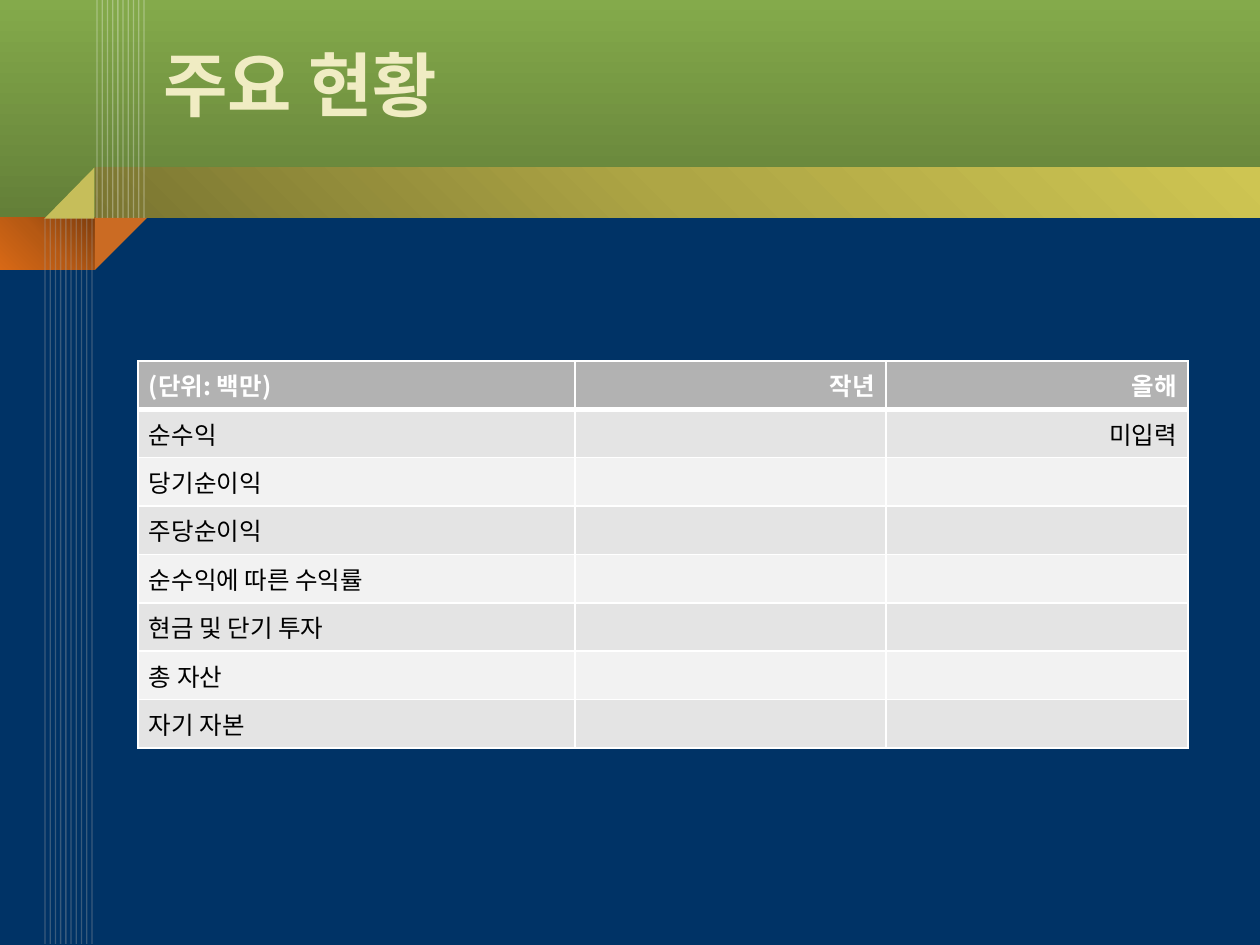
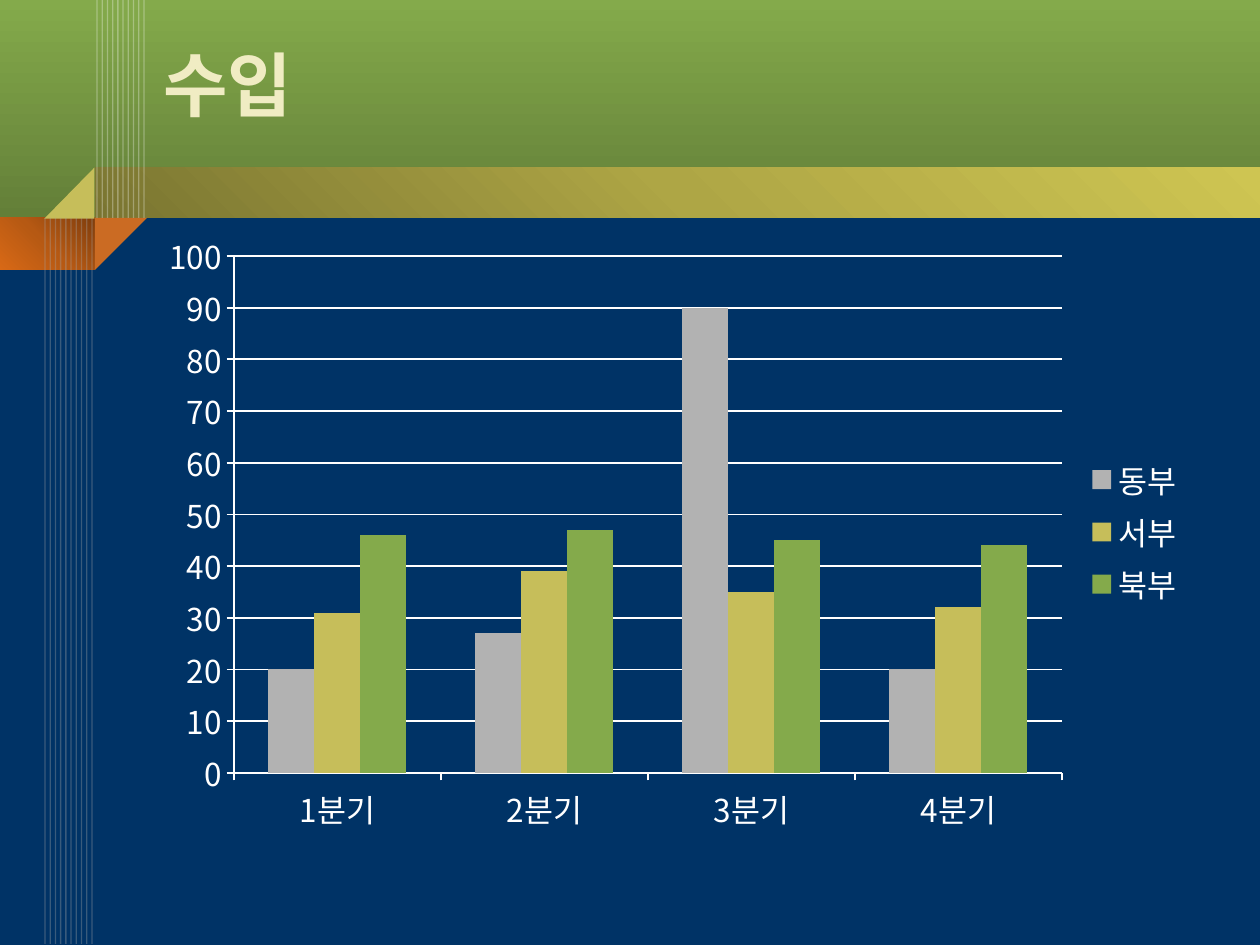
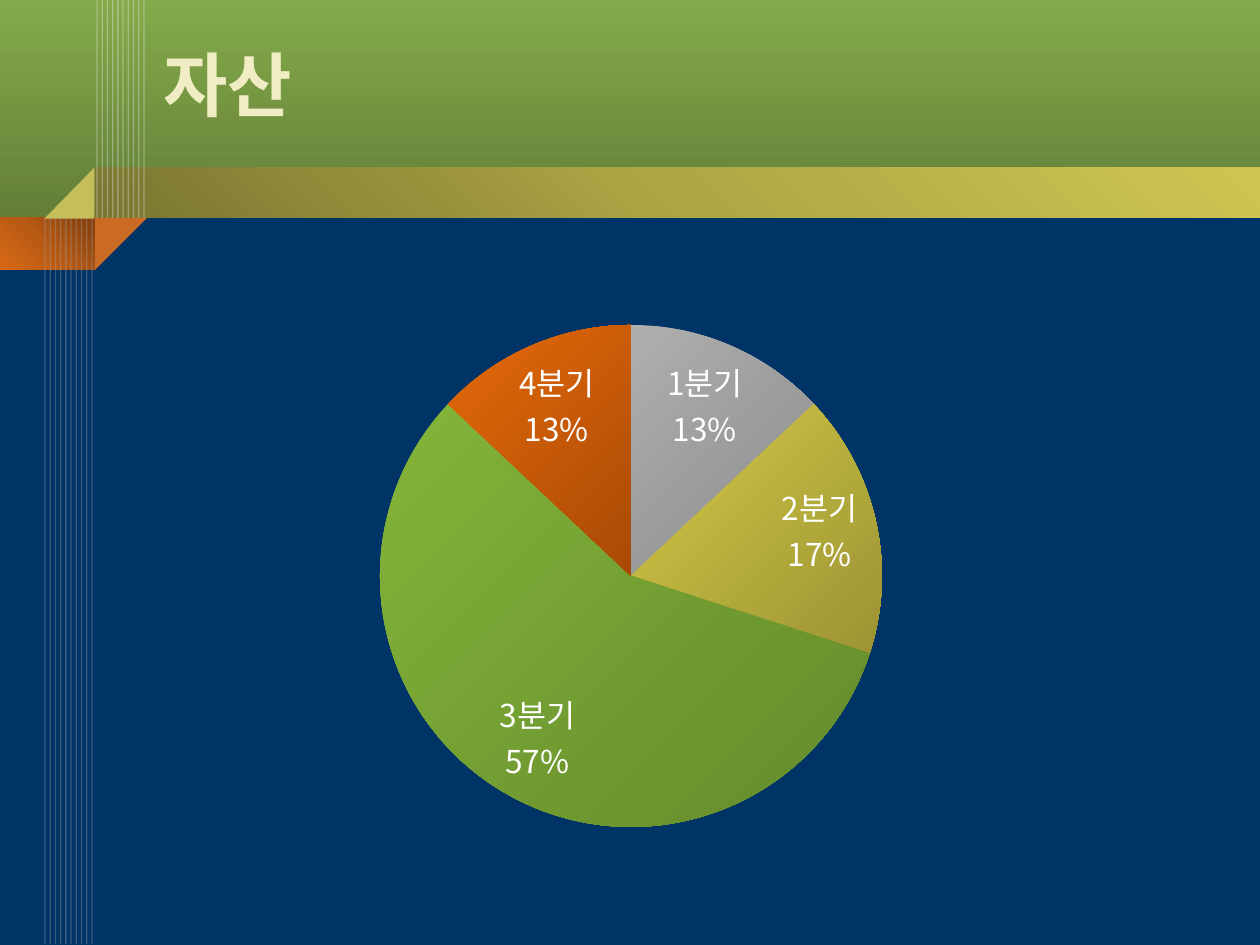
from dataclasses import dataclass

from lxml import etree
from pptx import Presentation
from pptx.chart.data import CategoryChartData
from pptx.dml.color import RGBColor
from pptx.enum.chart import XL_CHART_TYPE, XL_LABEL_POSITION, XL_LEGEND_POSITION, XL_TICK_MARK
from pptx.enum.shapes import MSO_CONNECTOR, MSO_SHAPE
from pptx.enum.text import MSO_ANCHOR, PP_ALIGN
from pptx.oxml.ns import qn
from pptx.util import Emu, Pt

RECTANGLE = MSO_SHAPE.RECTANGLE
TRIANGLE = MSO_SHAPE.RIGHT_TRIANGLE
STRAIGHT = MSO_CONNECTOR.STRAIGHT
COLUMNS = XL_CHART_TYPE.COLUMN_CLUSTERED
PIE = XL_CHART_TYPE.PIE
BEST_FIT = XL_LABEL_POSITION.BEST_FIT
LEGEND_RIGHT = XL_LEGEND_POSITION.RIGHT
TICK_OUT = XL_TICK_MARK.OUTSIDE
TICK_NONE = XL_TICK_MARK.NONE
LEFT, RIGHT = PP_ALIGN.LEFT, PP_ALIGN.RIGHT
MIDDLE = MSO_ANCHOR.MIDDLE
EMU_PER_PX = 914400 / 126
TITLE_ONLY = 5


@dataclass(frozen=True)
class Theme:
    """Colours, fonts and type sizes shared by the slides."""
    font: str = "Noto Sans CJK KR"
    title_size: int = 40
    chart_size: int = 18
    table_size: int = 14
    background: str = "003366"
    white: str = "FFFFFF"
    black: str = "000000"
    stripe_gray: str = "A6A6A6"
    gray: str = "B2B2B2"
    gold: str = "C6BE5A"
    green: str = "84AA4B"
    orange: str = "CB6B23"
    row_fills: tuple = ("F2F2F2", "E4E4E4")
    title_outline: str = "6B6625"
    title_stops: tuple = ((0, "C6BE5A"), (50, "F0ECC3"), (100, "F7F5E2"))
    header_stops: tuple = ((0, "84AA4B"), (100, "637F38"))
    band_stops: tuple = ((0, "7A7531"), (50, "AEA645"), (100, "CEC552"))
    corner_stops: tuple = ((0, "803E0D"), (50, "B65913"), (100, "D86916"))
    slice_colors: tuple = (("AEAEAE", "8C8C8C"), ("D2C946", "9D9334"),
                           ("84B53A", "648A2C"), ("E5690A", "A84A05"))


THEME = Theme()
QUARTERS = ["1분기", "2분기", "3분기", "4분기"]
REGIONS = [("동부", (20, 27, 90, 20), THEME.gray),
           ("서부", (31, 39, 35, 32), THEME.gold),
           ("북부", (46, 47, 45, 44), THEME.green)]
ASSET_SHARES = (13, 17, 57, 13)
STATUS_ROWS = [("(단위: 백만)", "작년", "올해"), ("순수익", "", "미입력"),
               ("당기순이익", "", ""), ("주당순이익", "", ""),
               ("순수익에 따른 수익률", "", ""), ("현금 및 단기 투자", "", ""),
               ("총 자산", "", ""), ("자기 자본", "", "")]
STATUS_WIDTHS = (437, 311, 302)
CHART_BOX = (147, 220, 1050, 624)


def px(*lengths):
    """Turn lengths in px into EMU."""
    return [Emu(round(length * EMU_PER_PX)) for length in lengths]


def rgb(color):
    """Turn a hex string into a colour."""
    return RGBColor.from_string(color)


def add_child(parent, tag, **attributes):
    """Append a child element with attributes."""
    child = etree.SubElement(parent, qn(tag))
    for name, value in attributes.items():
        child.set(name, str(value))
    return child


def outline(tag, color, points):
    """Make a solid line element."""
    line = etree.Element(qn(tag), w=str(Pt(points)))
    add_child(add_child(line, "a:solidFill"), "a:srgbClr", val=color)
    return line


def paint_gradient(fill, owner, stops, angle=None):
    """Fill with colour stops, along an angle or out from the top right corner."""
    fill.gradient()
    gradient = next(owner.iter(qn("a:gradFill")))
    for child in list(gradient):
        gradient.remove(child)
    stop_list = add_child(gradient, "a:gsLst")
    for position, color in stops:
        stop = add_child(stop_list, "a:gs", pos=position * 1000)
        add_child(stop, "a:srgbClr", val=color)
    if angle is None:
        focus = add_child(gradient, "a:path", path="circle")
        add_child(focus, "a:fillToRect", l=100000, t=0, r=0, b=100000)
    else:
        add_child(gradient, "a:lin", ang=angle * 60000, scaled=0)


def match_east_asian(element):
    """Use each Latin typeface for Korean text as well."""
    for latin in list(element.iter(qn("a:latin"))):
        east_asian = etree.Element(qn("a:ea"), typeface=latin.get("typeface"))
        latin.addnext(east_asian)


def write_text(frame, text, *, size, color=None, bold=False, align=LEFT):
    """Write one formatted line and return its run."""
    para = frame.paragraphs[0]
    para.alignment = align
    if not text:
        para._p.get_or_add_endParaRPr().set("sz", str(size * 100))
        return None
    span = para.add_run()
    span.text = text
    span.font.size = Pt(size)
    span.font.bold = bold
    span.font.name = THEME.font
    if color:
        span.font.color.rgb = rgb(color)
    match_east_asian(span._r)
    return span


def add_block(slide, preset, box, color=None, rotation=0):
    """Add a borderless shape, solid when a colour is given."""
    block = slide.shapes.add_shape(preset, *px(*box))
    block.shadow.inherit = False
    block.line.fill.background()
    block.rotation = rotation
    if color:
        block.fill.solid()
        block.fill.fore_color.rgb = rgb(color)
    return block


def add_stripes(slide, left, top, bottom, drift, color, opacity):
    """Add a group of ten evenly spaced translucent lines."""
    group = slide.shapes.add_group_shape()
    for index in range(10):
        start = left + 47 * index / 9
        stripe = group.shapes.add_connector(STRAIGHT, *px(start, top, start + drift, bottom))
        stripe.line.width = Pt(0.75)
        stripe.line.color.rgb = rgb(color)
        tint = next(stripe.element.iter(qn("a:srgbClr")))
        add_child(tint, "a:alpha", val=opacity * 1000)
        add_child(stripe.element.spPr, "a:effectLst")


def build_layout(layout, slide):
    """Put the bands, stripes and title place on the shared layout."""
    layout.background.fill.solid()
    layout.background.fill.fore_color.rgb = rgb(THEME.background)
    for holder in list(layout.placeholders):
        if holder.placeholder_format.idx == 0:
            holder.left, holder.top, holder.width, holder.height = px(151, 4, 1056, 158)
        else:
            layout.shapes.element.remove(holder.element)
    header = add_block(slide, RECTANGLE, (0, 0, 1260, 218))
    paint_gradient(header.fill, header.element, THEME.header_stops, 90)
    band = add_block(slide, RECTANGLE, (95, 168, 1165, 50))
    paint_gradient(band.fill, band.element, THEME.band_stops, 315)
    corner = add_block(slide, RECTANGLE, (0, 218, 95, 52))
    paint_gradient(corner.fill, corner.element, THEME.corner_stops)
    add_block(slide, TRIANGLE, (95, 218, 52, 52), THEME.orange, 90)
    add_block(slide, TRIANGLE, (44, 168, 51, 50), THEME.gold, 270)
    add_stripes(slide, 97, 0, 218, 0, THEME.white, 30)
    add_stripes(slide, 45, 218, 944, 0, THEME.stripe_gray, 35)
    for shape in list(slide.shapes):
        if not shape.is_placeholder:
            layout.shapes.element.append(shape.element)


def set_title(slide, text):
    """Write the slide title in outlined gradient letters."""
    title = slide.shapes.title
    title.text_frame.vertical_anchor = MIDDLE
    span = write_text(title.text_frame, text, size=THEME.title_size, bold=True)
    paint_gradient(span.font.fill, title.element, THEME.title_stops, 270)
    span._r.get_or_add_rPr().insert(0, outline("a:ln", THEME.title_outline, 1))


def set_borders(cell, is_header):
    """Draw white cell borders, thick below the header."""
    sides = [("a:lnL", 1), ("a:lnR", 1), ("a:lnB", 3 if is_header else 1)]
    if is_header:
        sides.insert(2, ("a:lnT", 1))
    properties = cell._tc.get_or_add_tcPr()
    for place, (tag, points) in enumerate(sides):
        properties.insert(place, outline(tag, THEME.white, points))


def add_status_table(slide):
    """Add the table of key figures."""
    table = slide.shapes.add_table(len(STATUS_ROWS), len(STATUS_WIDTHS),
                                   *px(138, 361, sum(STATUS_WIDTHS), 336)).table
    for column, width in zip(table.columns, px(*STATUS_WIDTHS)):
        column.width = width
    for row, texts in enumerate(STATUS_ROWS):
        is_header = row == 0
        for column, text in enumerate(texts):
            cell = table.cell(row, column)
            cell.margin_left, cell.margin_right = px(11, 11)
            cell.fill.solid()
            cell.fill.fore_color.rgb = rgb(THEME.gray if is_header else THEME.row_fills[row % 2])
            write_text(cell.text_frame, text, size=THEME.table_size, bold=is_header,
                       color=THEME.white if is_header else THEME.black,
                       align=RIGHT if column else LEFT)
            set_borders(cell, is_header)


def place_plot(chart, box):
    """Place the inner plot area at a box given in slide px."""
    left, top, width, height = CHART_BOX
    area = next(chart.element.iter(qn("c:plotArea")))
    for old in area.findall(qn("c:layout")):
        area.remove(old)
    layout = etree.Element(qn("c:layout"))
    area.insert(0, layout)
    manual = add_child(layout, "c:manualLayout")
    add_child(manual, "c:layoutTarget", val="inner")
    for name in ("xMode", "yMode"):
        add_child(manual, f"c:{name}", val="edge")
    shares = ((box[0] - left) / width, (box[1] - top) / height, box[2] / width, box[3] / height)
    for name, share in zip("xywh", shares):
        add_child(manual, f"c:{name}", val=round(share, 4))


def add_chart(slide, kind, series, plot_box):
    """Add a chart by quarter with white text and a placed plot."""
    data = CategoryChartData()
    data.categories = QUARTERS
    for name, values in series:
        data.add_series(name, values)
    chart = slide.shapes.add_chart(kind, *px(*CHART_BOX), data).chart
    chart.has_title = False
    chart.has_legend = False
    chart.font.size = Pt(THEME.chart_size)
    chart.font.name = THEME.font
    chart.font.color.rgb = rgb(THEME.white)
    match_east_asian(chart.element)
    place_plot(chart, plot_box)
    return chart


def style_line(line):
    """Make a chart line thin and white."""
    line.width = Pt(1)
    line.color.rgb = rgb(THEME.white)


def add_income_chart(slide):
    """Add the clustered columns by region."""
    series = [(name, values) for name, values, _ in REGIONS]
    chart = add_chart(slide, COLUMNS, series, (234, 256, 828, 517))
    plot = chart.plots[0]
    plot.gap_width = 150
    plot.overlap = 0
    plot.vary_by_categories = False
    for columns, (_, _, color) in zip(plot.series, REGIONS):
        columns.format.fill.solid()
        columns.format.fill.fore_color.rgb = rgb(color)
    for axis in (chart.category_axis, chart.value_axis):
        axis.major_tick_mark = TICK_OUT
        axis.minor_tick_mark = TICK_NONE
        style_line(axis.format.line)
    scale = chart.value_axis
    scale.minimum_scale, scale.maximum_scale, scale.major_unit = 0, 100, 10
    scale.has_major_gridlines = True
    style_line(scale.major_gridlines.format.line)
    chart.has_legend = True
    chart.legend.position = LEGEND_RIGHT
    chart.legend.include_in_layout = False


def add_asset_chart(slide):
    """Add the pie of asset shares with labels inside."""
    chart = add_chart(slide, PIE, [("Series 1", ASSET_SHARES)], (380, 325, 502, 502))
    plot = chart.plots[0]
    plot.vary_by_categories = True
    for index, (light, dark) in enumerate(THEME.slice_colors):
        style = plot.series[0].points[index].format
        paint_gradient(style.fill, style.element, ((0, light), (100, dark)), 45)
    plot.has_data_labels = True
    labels = plot.data_labels
    labels.show_value = False
    labels.show_category_name = True
    labels.show_percentage = True
    labels.position = BEST_FIT
    for flag in list(chart.element.iter(qn("c:showBubbleSize"))):
        separator = etree.Element(qn("c:separator"))
        separator.text = "\n"
        flag.addnext(separator)


def main():
    """Build and save the deck."""
    deck = Presentation()
    deck.slide_width, deck.slide_height = px(1260, 945)
    layout = deck.slide_layouts[TITLE_ONLY]
    pages = [("주요 현황", add_status_table), ("수입", add_income_chart),
             ("자산", add_asset_chart)]
    for number, (title, add_content) in enumerate(pages):
        slide = deck.slides.add_slide(layout)
        if number == 0:
            build_layout(layout, slide)
        set_title(slide, title)
        add_content(slide)
    deck.save("out.pptx")


if __name__ == "__main__":
    main()
